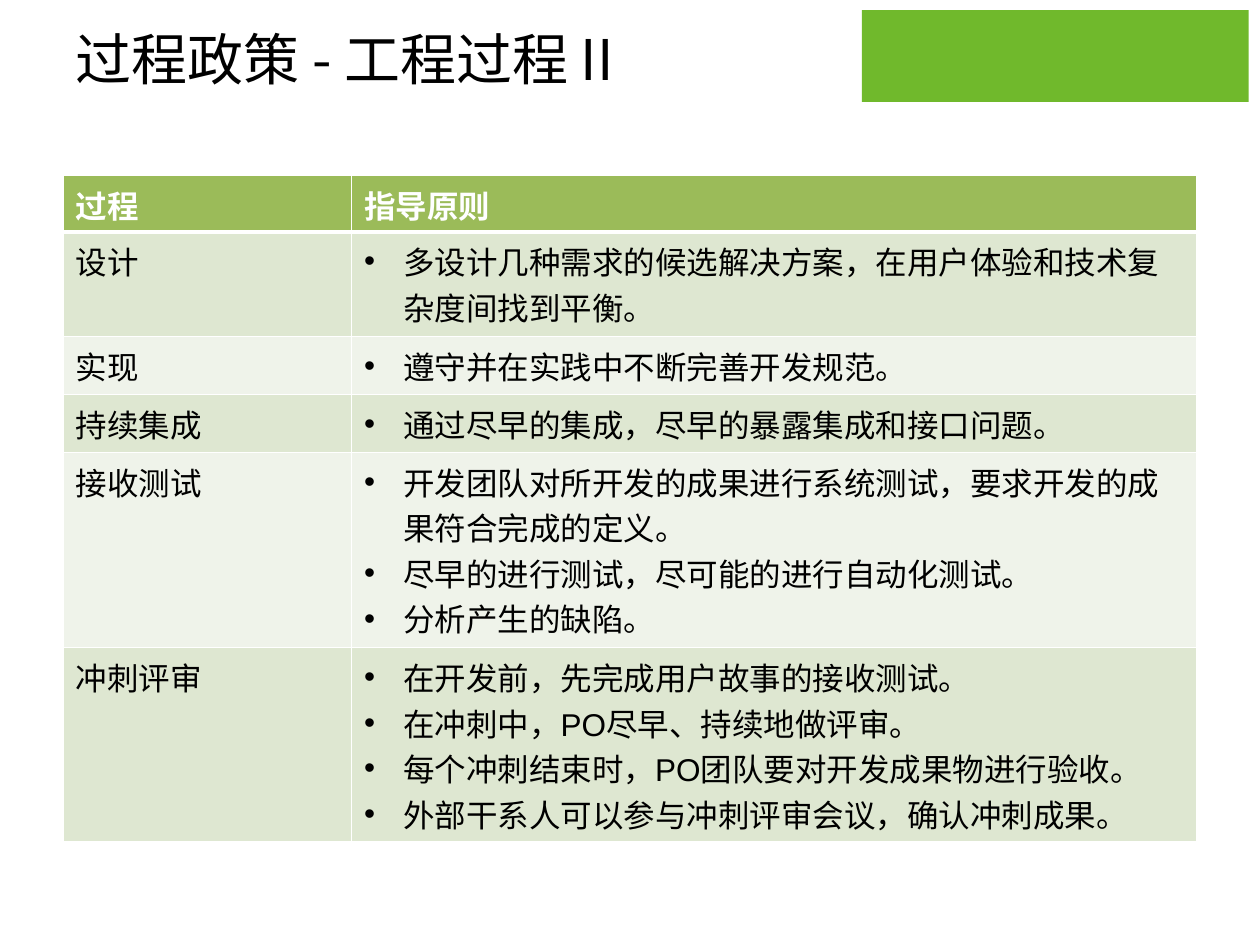
from dataclasses import dataclass

from lxml.etree import SubElement
from pptx import Presentation
from pptx.dml.color import RGBColor
from pptx.enum.shapes import MSO_SHAPE
from pptx.enum.text import MSO_ANCHOR
from pptx.oxml import parse_xml
from pptx.oxml.ns import nsdecls, qn
from pptx.slide import Slide
from pptx.table import _Cell
from pptx.text.text import _Paragraph
from pptx.util import Inches, Pt

BLACK = RGBColor(0x00, 0x00, 0x00)
WHITE = RGBColor(0xFF, 0xFF, 0xFF)
BANNER_GREEN = RGBColor(0x70, 0xB9, 0x2C)
HEADER_GREEN = RGBColor(0x9B, 0xBB, 0x59)
BAND_COLORS = (RGBColor(0xDE, 0xE7, 0xD1), RGBColor(0xEF, 0xF3, 0xEA))
CHINESE_FONT = "Noto Sans CJK SC"
COLUMN_WIDTHS = (2.29, 6.71)
HEADER_HEIGHT = 0.45


@dataclass
class ProcessRow:
    name: str
    principles: list[str]
    height: float


@dataclass
class TextStyle:
    font: str
    size: float
    color: RGBColor
    bold: bool = False


TITLE_STYLE = TextStyle(CHINESE_FONT, 32, BLACK)
HEADER_STYLE = TextStyle("Calibri", 18, WHITE, True)
BODY_STYLE = TextStyle("Arial", 18, BLACK)

PROCESS_ROWS = [
    ProcessRow("设计", ["多设计几种需求的候选解决方案，在用户体验和技术复杂度间找到平衡。"], 0.83),
    ProcessRow("实现", ["遵守并在实践中不断完善开发规范。"], 0.46),
    ProcessRow("持续集成", ["通过尽早的集成，尽早的暴露集成和接口问题。"], 0.46),
    ProcessRow("接收测试", [
        "开发团队对所开发的成果进行系统测试，要求开发的成果符合完成的定义。",
        "尽早的进行测试，尽可能的进行自动化测试。",
        "分析产生的缺陷。",
    ], 1.55),
    ProcessRow("冲刺评审", [
        "在开发前，先完成用户故事的接收测试。",
        "在冲刺中，PO尽早、持续地做评审。",
        "每个冲刺结束时，PO团队要对开发成果物进行验收。",
        "外部干系人可以参与冲刺评审会议，确认冲刺成果。",
    ], 1.54),
]


def add_text(paragraph: _Paragraph, text: str, style: TextStyle) -> None:
    run = paragraph.add_run()
    run.text = text
    run.font.name = style.font
    run.font.size = Pt(style.size)
    run.font.bold = style.bold
    run.font.color.rgb = style.color
    SubElement(run.font._element, qn("a:ea"), typeface=CHINESE_FONT)


def add_bullet(paragraph: _Paragraph) -> None:
    properties = paragraph._p.get_or_add_pPr()
    indent = Inches(0.31)
    properties.set("marL", str(indent))
    properties.set("indent", str(-indent))
    SubElement(properties, qn("a:buFont"), typeface="Arial")
    SubElement(properties, qn("a:buChar"), char="•")


def set_borders(cell: _Cell, top: float, bottom: float) -> None:
    properties = cell._tc.get_or_add_tcPr()
    widths = {"lnL": 1, "lnR": 1, "lnT": top, "lnB": bottom}
    for position, (tag, width) in enumerate(widths.items()):
        border = parse_xml(
            f'<a:{tag} {nsdecls("a")} w="{Pt(width)}"><a:solidFill>'
            f'<a:srgbClr val="{WHITE}"/></a:solidFill></a:{tag}>'
        )
        properties.insert(position, border)


def fill_cell(cell: _Cell, lines: list[str], style: TextStyle, fill: RGBColor,
              top: float = 1, bottom: float = 1, bulleted: bool = False) -> None:
    cell.fill.solid()
    cell.fill.fore_color.rgb = fill
    set_borders(cell, top, bottom)
    frame = cell.text_frame
    for index, line in enumerate(lines):
        paragraph = frame.add_paragraph() if index else frame.paragraphs[0]
        if bulleted:
            add_bullet(paragraph)
        add_text(paragraph, line, style)


def add_banner(slide: Slide) -> None:
    banner = slide.shapes.add_shape(
        MSO_SHAPE.RECTANGLE, Inches(6.84), Inches(0.08), Inches(3.07), Inches(0.73))
    banner.shadow.inherit = False
    banner.fill.solid()
    banner.fill.fore_color.rgb = BANNER_GREEN
    banner.line.fill.background()


def add_title(slide: Slide, text: str) -> None:
    title = slide.shapes.title
    title.left, title.top = Inches(0.5), Inches(0.18)
    title.width, title.height = Inches(5.57), Inches(0.56)


def add_title_box(slide: Slide, text: str) -> None:
    title = slide.shapes.add_textbox(Inches(0.5), Inches(0.18), Inches(5.57), Inches(0.56))
    frame = title.text_frame
    frame.word_wrap = True
    frame.vertical_anchor = MSO_ANCHOR.MIDDLE
    add_text(frame.paragraphs[0], text, TITLE_STYLE)


def add_process_table(slide: Slide) -> None:
    heights = [HEADER_HEIGHT] + [row.height for row in PROCESS_ROWS]
    table = slide.shapes.add_table(
        len(heights), len(COLUMN_WIDTHS), Inches(0.5), Inches(1.39),
        Inches(sum(COLUMN_WIDTHS)), Inches(sum(heights))).table
    for column, width in zip(table.columns, COLUMN_WIDTHS):
        column.width = Inches(width)
    for table_row, height in zip(table.rows, heights):
        table_row.height = Inches(height)
    for column, heading in enumerate(("过程", "指导原则")):
        fill_cell(table.cell(0, column), [heading], HEADER_STYLE, HEADER_GREEN, bottom=3)
    for index, row in enumerate(PROCESS_ROWS):
        fill = BAND_COLORS[index % 2]
        top = 1 if index else 3
        fill_cell(table.cell(index + 1, 0), [row.name], BODY_STYLE, fill, top)
        fill_cell(table.cell(index + 1, 1), row.principles, BODY_STYLE, fill, top,
                  bulleted=True)


def main() -> None:
    presentation = Presentation()
    presentation.slide_width = Inches(10)
    presentation.slide_height = Inches(7.5)
    slide = presentation.slides.add_slide(presentation.slide_layouts[6])
    add_banner(slide)
    add_title_box(slide, "过程政策 - 工程过程 II")
    add_process_table(slide)
    presentation.save("out.pptx")


if __name__ == "__main__":
    main()
